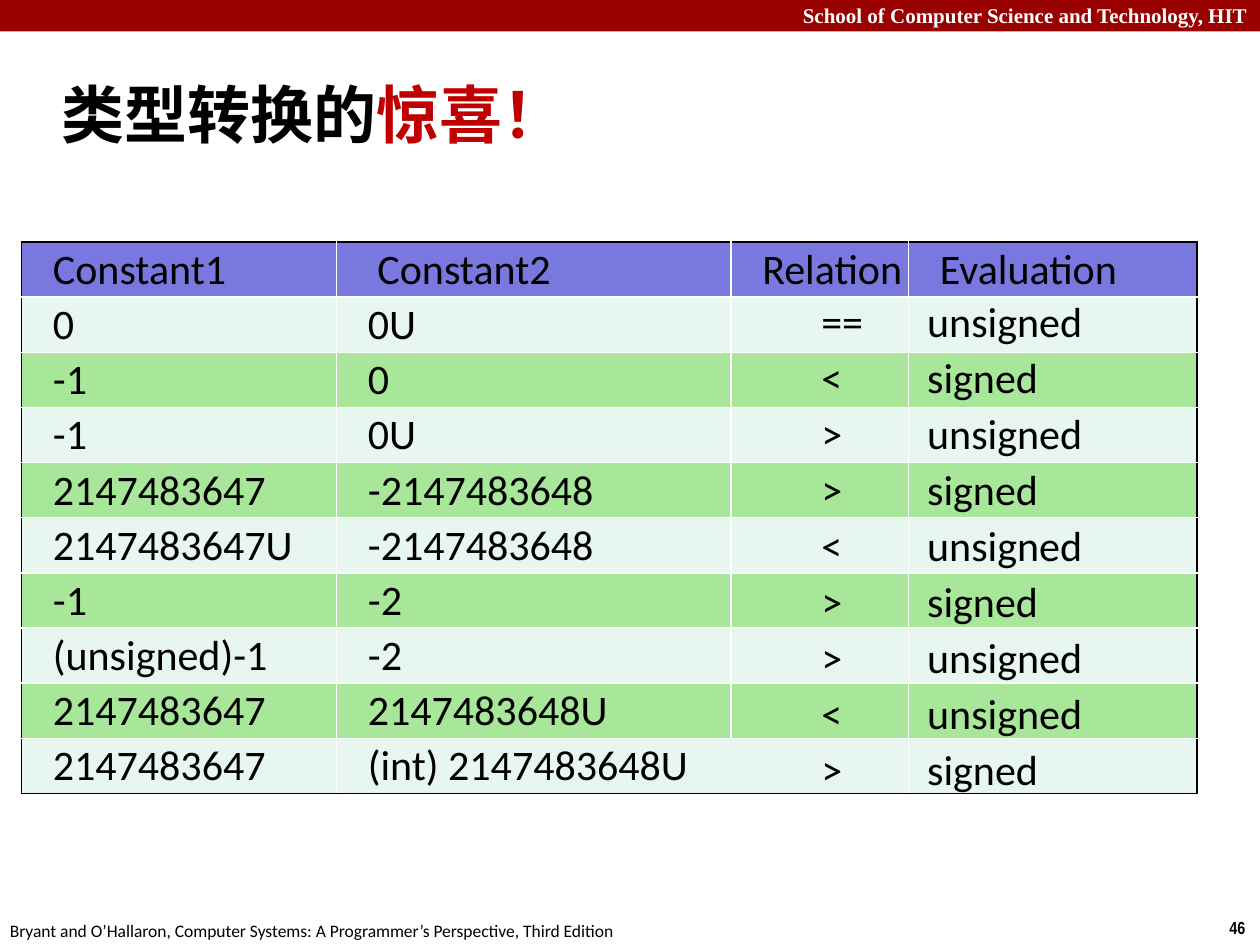
from lxml import etree
from pptx import Presentation, util as u
from pptx.dml.color import RGBColor
from pptx.enum import shapes, text
from pptx.oxml.ns import qn

WIDTH, HEIGHT = u.Inches(10), u.Inches(7.5)
BLACK, WHITE, RED = "000000", "FFFFFF", "C00000"
HEADER_FILL, BANDS = "7878DE", ("E7F6EF", "A8E799")
COLUMN_SHARES = (25, 31.3, 14.1, 22.9)
HEADINGS = ("Constant1", " Constant2", "Relation", "Evaluation")
COMPARISONS = (
    ("0", "0U", "==", "unsigned"),
    ("-1", "0", "<", "signed"),
    ("-1", "0U", ">", "unsigned"),
    ("2147483647", "-2147483648", ">", "signed"),
    ("2147483647U", "-2147483648", "<", "unsigned"),
    ("-1", "-2", ">", "signed"),
    ("(unsigned)-1", "-2", ">", "unsigned"),
    ("2147483647", "2147483648U", "<", "unsigned"),
    ("2147483647", "(int) 2147483648U", ">", "signed"),
)


def color(value):
    return RGBColor.from_string(value)


def across(percent):
    return round(WIDTH * percent / 100)


def down(percent):
    return round(HEIGHT * percent / 100)


def area(left, top, width, height):
    """Turn percentages of the slide into a position and size."""
    return across(left), down(top), across(width), down(height)


def set_all(target, values):
    for name, value in values.items():
        setattr(target, name, value)


def add_run(paragraph, words, size, fill=BLACK, name="Calibri", bold=False):
    run = paragraph.add_run()
    run.text = words
    set_all(run.font, {"size": u.Pt(size), "name": name, "bold": bold})
    run.font.color.rgb = color(fill)


def add_text(slide, place, runs, align=text.PP_ALIGN.LEFT, **frame_format):
    """Add a one-paragraph text box; each run is a dict for add_run."""
    frame = slide.shapes.add_textbox(*area(*place)).text_frame
    set_all(frame, {"word_wrap": True, **frame_format})
    paragraph = frame.paragraphs[0]
    paragraph.alignment = align
    for run in runs:
        add_run(paragraph, **run)


def add_bar(slide, place, fill):
    shape = slide.shapes.add_shape(shapes.MSO_SHAPE.RECTANGLE, *area(*place))
    shape.shadow.inherit = False
    shape.fill.solid()
    shape.fill.fore_color.rgb = color(fill)
    shape.line.fill.background()


def set_borders(cell, colors):
    """Draw one-point borders, in the order left, right, top, bottom."""
    properties = cell._tc.get_or_add_tcPr()
    for index, (side, value) in enumerate(zip("LRTB", colors)):
        line = etree.Element(qn(f"a:ln{side}"), w=str(u.Pt(1)))
        fill = etree.SubElement(line, qn("a:solidFill"))
        etree.SubElement(fill, qn("a:srgbClr"), val=value)
        properties.insert(index, line)


def add_constants_table(slide):
    rows = [HEADINGS] + [pair[:2] + ("", "") for pair in COMPARISONS]
    last_row, last_column = len(rows) - 1, len(HEADINGS) - 1
    table = slide.shapes.add_table(
        len(rows), len(HEADINGS), *area(1.7, 25.6, 93.3, 58.4)).table
    set_all(table, {"first_row": False, "horz_banding": False})
    for column, share in zip(table.columns, COLUMN_SHARES):
        column.width = across(share)
    cell_format = {
        "vertical_anchor": text.MSO_ANCHOR.MIDDLE,
        "margin_left": u.Inches(0.25), "margin_right": u.Inches(0.01),
        "margin_top": u.Inches(0.01), "margin_bottom": 0,
    }
    for r, row in enumerate(rows):
        for c, words in enumerate(row):
            cell = table.cell(r, c)
            set_all(cell, cell_format)
            cell.fill.solid()
            cell.fill.fore_color.rgb = color(BANDS[(r - 1) % 2] if r else HEADER_FILL)
            outer = (c == 0, c == last_column, r == 0, r == last_row)
            set_borders(cell, [BLACK if edge else WHITE for edge in outer])
            if words:
                add_run(cell.text_frame.paragraphs[0], words, 24)
    table.cell(last_row, 1).merge(table.cell(last_row, 2))


def add_answers(slide):
    """List relation and evaluation over the table, parted by a tab stop."""
    frame = slide.shapes.add_textbox(*area(64.2, 30, 27.5, 55.2)).text_frame
    frame.word_wrap = True
    for index, (_, _, relation, evaluation) in enumerate(COMPARISONS):
        paragraph = frame.add_paragraph() if index else frame.paragraphs[0]
        tabs = etree.SubElement(paragraph._p.get_or_add_pPr(), qn("a:tabLst"))
        etree.SubElement(tabs, qn("a:tab"), pos=str(across(8.4)), algn="l")
        paragraph.line_spacing = u.Pt(32)
        add_run(paragraph, f"{relation}\t{evaluation}", 24)


def main():
    presentation = Presentation()
    set_all(presentation, {"slide_width": WIDTH, "slide_height": HEIGHT})
    slide = presentation.slides.add_slide(presentation.slide_layouts[6])

    add_bar(slide, (0, 0, 100, 3.33), "990000")
    add_text(slide, (0, -0.4, 100, 4),
             [dict(words="School of Computer Science and Technology, HIT", size=12,
                   fill=WHITE, name="Times New Roman", bold=True)],
             align=text.PP_ALIGN.RIGHT)
    add_text(slide, (96.6, 96.4, 3.4, 3.6),
             [dict(words="46", size=10, name="Arial Narrow", bold=True)],
             word_wrap=False)
    add_text(slide, (-0.2, 96.67, 50.8, 3.6),
             [dict(words="Bryant and O’Hallaron, Computer Systems: "
                         "A Programmer’s Perspective, Third Edition", size=10)],
             word_wrap=False)
    add_text(slide, (3.9, 6.4, 96.1, 11.07),
             [dict(words="类型转换的", size=36, bold=True),
              dict(words="惊喜！", size=36, fill=RED, bold=True)],
             vertical_anchor=text.MSO_ANCHOR.MIDDLE)
    add_constants_table(slide)
    add_answers(slide)
    presentation.save("out.pptx")


if __name__ == "__main__":
    main()
